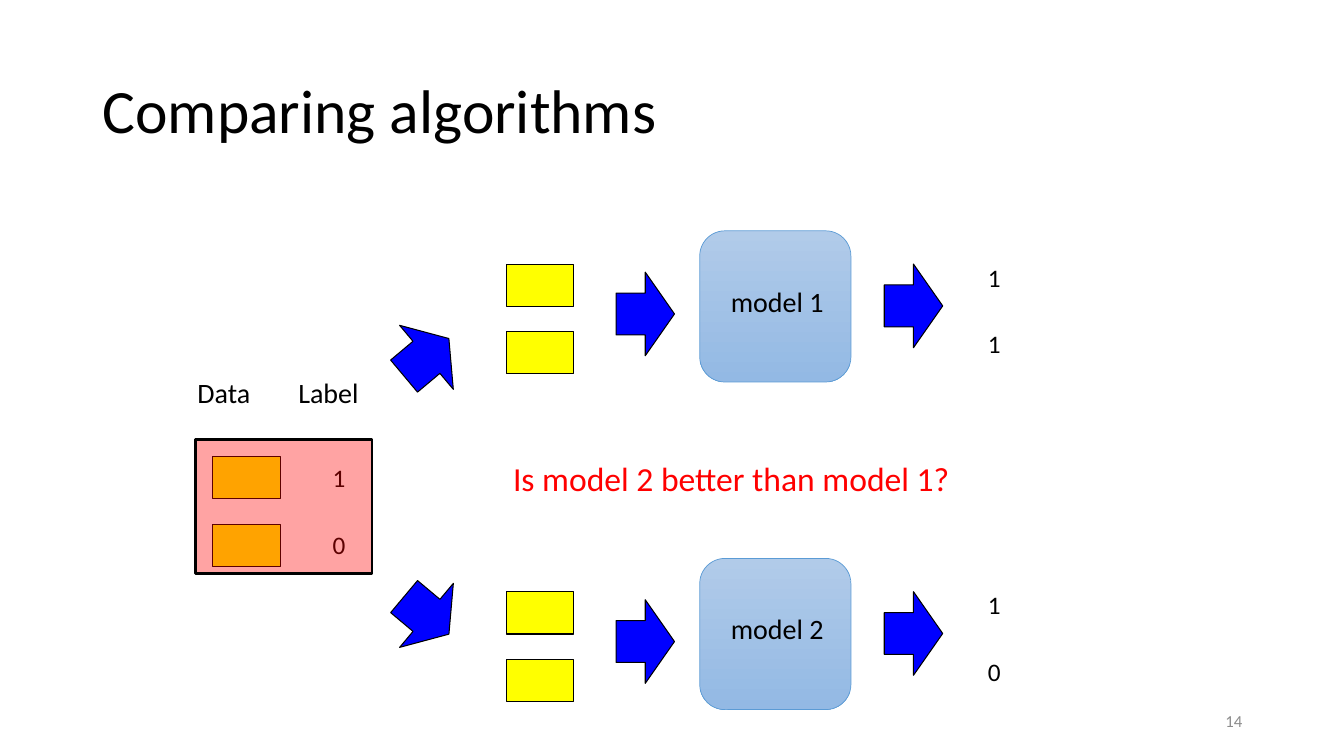
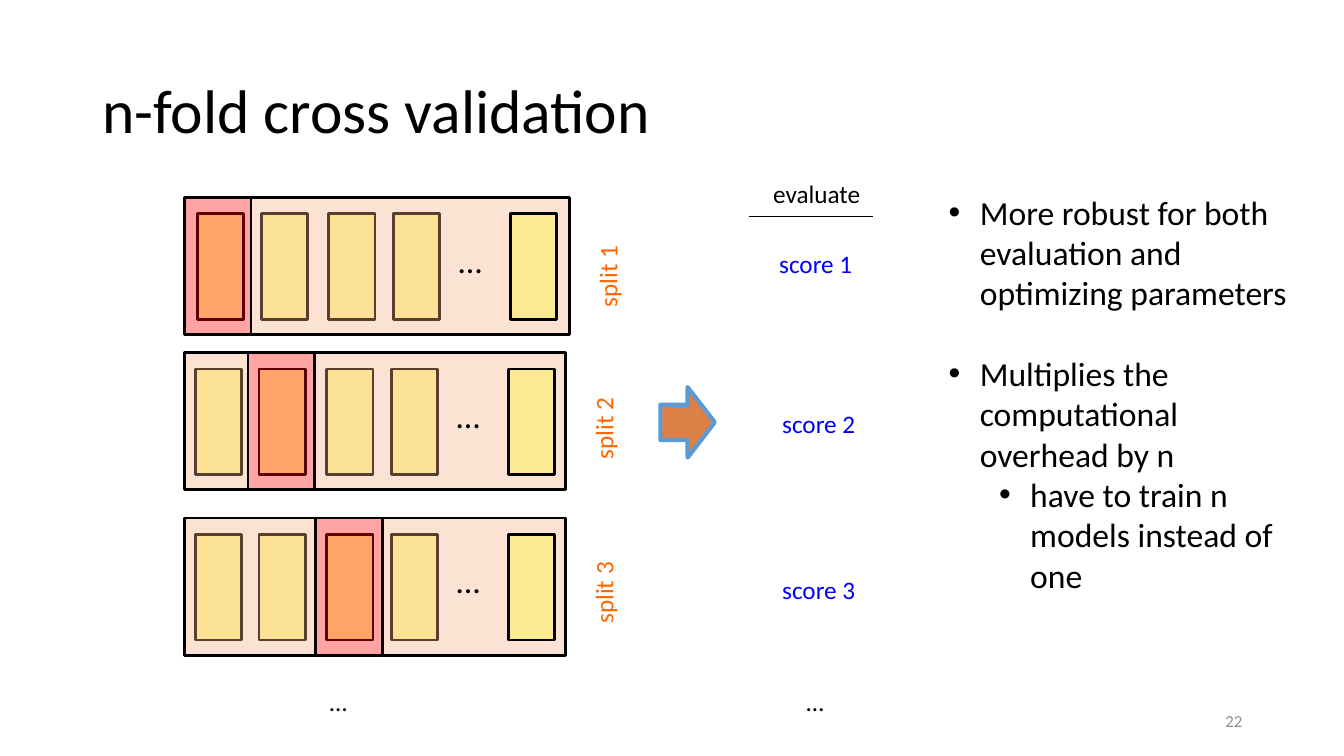
from dataclasses import dataclass

from lxml.etree import SubElement
from pptx import Presentation
from pptx.dml.color import RGBColor
from pptx.enum.shapes import MSO_CONNECTOR, MSO_SHAPE
from pptx.enum.text import MSO_ANCHOR, PP_ALIGN
from pptx.oxml.ns import qn
from pptx.util import Inches, Pt

FONT = "Calibri"
COLORS = {
    "black": "000000",
    "gray": "8C8C8C",
    "red": "FF0000",
    "yellow": "FFFF00",
    "blue": "0000FF",
    "peach": "F4B183",
    "orange": "FF6600",
    "rust": "DD8047",
    "sky": "5B9BD5",
    "model_top": "B1CBE9",
    "model_bottom": "93B9E4",
}


@dataclass(frozen=True)
class Box:
    left: float
    top: float
    width: float
    height: float

    def lengths(self):
        return [Inches(value) for value in (self.left, self.top, self.width, self.height)]


@dataclass(frozen=True)
class ModelLane:
    name: str
    top: float
    predictions: tuple[str, str]


@dataclass(frozen=True)
class Split:
    name: str
    top: float
    held_out: int
    shift: float
    label_center: float


@dataclass(frozen=True)
class Bullet:
    text: str
    level: int = 0
    space_before: float = 0


TITLE_BOX = Box(0.92, 0.4, 11.5, 1.45)
NUMBER_BOX = Box(9.42, 6.95, 3, 0.4)

LANES = (
    ModelLane("model 1", 2.29, ("1", "1")),
    ModelLane("model 2", 5.54, ("1", "0")),
)
SAMPLE_PITCH = 0.67
LABEL_PITCH = 0.66

SPLITS = (
    Split("split 1", 1.96, 0, 0.02, 2.74),
    Split("split 2", 3.5, 1, 0, 4.25),
    Split("split 3", 5.14, 2, 0, 5.88),
)
FOLD_OFFSETS = (0, 0.63, 1.3, 1.94)
BAND_LEFT, BAND_RIGHT, BAND_HEIGHT = 1.83, 5.61, 1.36
HELD_OUT_LEFTS, HELD_OUT_WIDTH = (1.83, 2.46, 3.13), 0.66

BULLETS = (
    Bullet("More robust for both evaluation and optimizing parameters"),
    Bullet("Multiplies the computational overhead by n", space_before=29),
    Bullet("have to train n models instead of one", level=1),
)


def color(name: str) -> RGBColor:
    return RGBColor.from_string(COLORS[name])


def add_run(paragraph, text: str, size: float, color_name: str) -> None:
    run = paragraph.add_run()
    run.text = text
    run.font.name = FONT
    run.font.size = Pt(size)
    run.font.color.rgb = color(color_name)


def add_text(slide, box: Box, text: str, size: float = 18, color_name: str = "black",
             wrap: bool = False):
    shape = slide.shapes.add_textbox(*box.lengths())
    shape.text_frame.word_wrap = wrap
    add_run(shape.text_frame.paragraphs[0], text, size, color_name)
    return shape


def add_block(slide, kind: MSO_SHAPE, box: Box, fill: str, opacity: int = 100,
              line: str = "black", line_width: float = 0.75):
    """Draw a filled, outlined shape; opacity is a percentage."""
    shape = slide.shapes.add_shape(kind, *box.lengths())
    shape.shadow.inherit = False
    shape.fill.solid()
    shape.fill.fore_color.rgb = color(fill)
    if opacity < 100:
        fill_color = shape.fill._xPr.find(qn("a:solidFill"))[0]
        SubElement(fill_color, qn("a:alpha"), val=str(opacity * 1000))
    shape.line.color.rgb = color(line)
    shape.line.width = Pt(line_width)
    return shape


def add_content_slide(presentation, title: str, number: int):
    slide = presentation.slides.add_slide(presentation.slide_layouts[6])
    title_frame = add_text(slide, TITLE_BOX, title, 44, wrap=True).text_frame
    title_frame.vertical_anchor = MSO_ANCHOR.MIDDLE
    title_frame.paragraphs[0].line_spacing = 0.9
    number_frame = add_text(slide, NUMBER_BOX, str(number), 12, "gray", wrap=True).text_frame
    number_frame.vertical_anchor = MSO_ANCHOR.MIDDLE
    number_frame.paragraphs[0].alignment = PP_ALIGN.RIGHT
    return slide


def add_samples(slide, left: float, top: float) -> None:
    for index in range(2):
        box = Box(left, top + index * SAMPLE_PITCH, 0.67, 0.42)
        add_block(slide, MSO_SHAPE.RECTANGLE, box, "yellow")


def add_labels(slide, left: float, top: float, labels: tuple[str, str]) -> None:
    for index, label in enumerate(labels):
        add_text(slide, Box(left, top + index * LABEL_PITCH, 0.34, 0.4), label)


def add_flow_arrow(slide, left: float, top: float, rotation: float = 0) -> None:
    box = Box(left, top, 0.58, 0.83)
    add_block(slide, MSO_SHAPE.RIGHT_ARROW, box, "blue").rotation = rotation


def add_model_lane(slide, lane: ModelLane) -> None:
    model = add_block(slide, MSO_SHAPE.ROUNDED_RECTANGLE, Box(6.94, lane.top, 1.5, 1.5),
                      "model_top", line="sky", line_width=0.5)
    model.fill.gradient()
    model.fill.gradient_angle = 270
    for stop, name in zip(model.fill.gradient_stops, ("model_top", "model_bottom")):
        stop.color.rgb = color(name)
    add_text(slide, Box(7.15, lane.top + 0.48, 1.13, 0.44), lane.name, 20)
    add_samples(slide, 5.02, lane.top + 0.33)
    add_flow_arrow(slide, 6.11, lane.top + 0.41)
    add_flow_arrow(slide, 8.77, lane.top + 0.33)
    add_labels(slide, 9.7, lane.top + 0.26, lane.predictions)


def build_comparison(presentation) -> None:
    slide = add_content_slide(presentation, "Comparing algorithms", 14)
    add_text(slide, Box(1.86, 3.68, 0.73, 0.44), "Data", 20)
    add_text(slide, Box(2.86, 3.68, 0.81, 0.44), "Label", 20)
    add_samples(slide, 2.11, 4.53)
    add_labels(slide, 3.2, 4.54, ("1", "0"))
    add_block(slide, MSO_SHAPE.RECTANGLE, Box(1.94, 4.36, 1.75, 1.33), "red", 36, line_width=2)
    add_flow_arrow(slide, 3.94, 3.13, 320)
    add_flow_arrow(slide, 3.94, 5.69, 40)
    for lane in LANES:
        add_model_lane(slide, lane)
    add_text(slide, Box(4.99, 4.49, 4.57, 0.5), "Is model 2 better than model 1?", 24, "red")


def add_fold(slide, left: float, top: float, opacity: int = 36) -> None:
    box = Box(left, top, 0.46, 1.05)
    add_block(slide, MSO_SHAPE.RECTANGLE, box, "yellow", opacity, line_width=2)


def add_band(slide, left: float, right: float, top: float, fill: str) -> None:
    box = Box(left, top, right - left, BAND_HEIGHT)
    add_block(slide, MSO_SHAPE.RECTANGLE, box, fill, 36, line_width=2)


def add_split(slide, split: Split) -> None:
    """Draw the folds, then tint the held-out fold and the training folds around it."""
    fold_left, fold_top = 1.94 + split.shift, split.top + 0.16
    held_out_left = HELD_OUT_LEFTS[split.held_out]
    held_out_right = held_out_left + HELD_OUT_WIDTH
    for offset in FOLD_OFFSETS:
        add_fold(slide, fold_left + offset, fold_top)
    add_band(slide, held_out_right, BAND_RIGHT + 2 * split.shift, split.top, "peach")
    add_band(slide, held_out_left, held_out_right, split.top, "red")
    if held_out_left > BAND_LEFT:
        add_band(slide, BAND_LEFT, held_out_left, split.top, "peach")
    add_text(slide, Box(4.43 + split.shift, split.top + 0.37, 0.44, 0.5), "…", 24)
    add_fold(slide, fold_left + 3.1, fold_top, 30)
    label_box = Box(5.58 + 2 * split.shift, split.label_center - 0.2, 0.81, 0.4)
    add_text(slide, label_box, split.name, color_name="orange").rotation = 270


def add_bullets(slide, box: Box) -> None:
    frame = slide.shapes.add_textbox(*box.lengths()).text_frame
    frame.word_wrap = True
    for index, bullet in enumerate(BULLETS):
        paragraph = frame.add_paragraph() if index else frame.paragraphs[0]
        paragraph.level = bullet.level
        paragraph.space_before = Pt(bullet.space_before)
        properties = paragraph._p.get_or_add_pPr()
        properties.set("marL", str(Inches(0.31 + 0.5 * bullet.level)))
        properties.set("indent", str(Inches(-0.31)))
        SubElement(properties, qn("a:buFont"), typeface="Arial")
        SubElement(properties, qn("a:buChar"), char="•")
        add_run(paragraph, bullet.text, 24, "black")


def add_rule(slide, left: float, right: float, top: float) -> None:
    line = slide.shapes.add_connector(
        MSO_CONNECTOR.STRAIGHT, Inches(left), Inches(top), Inches(right), Inches(top))
    line.line.color.rgb = color("black")
    line.line.width = Pt(1)
    SubElement(line._element.spPr, qn("a:effectLst"))


def build_cross_validation(presentation) -> None:
    slide = add_content_slide(presentation, "n-fold cross validation", 22)
    for split in SPLITS:
        add_split(slide, split)
    add_block(slide, MSO_SHAPE.RIGHT_ARROW, Box(6.55, 3.84, 0.54, 0.7), "rust",
              line="sky", line_width=3)
    add_text(slide, Box(7.57, 1.72, 1.07, 0.4), "evaluate")
    add_rule(slide, 7.43, 8.66, 2.15)
    for number, (left, top) in enumerate(((7.63, 2.41), (7.66, 4), (7.66, 5.65)), 1):
        add_text(slide, Box(left, top, 0.93, 0.4), f"score {number}", color_name="blue")
    for left in (3.17, 7.9):
        add_text(slide, Box(left, 6.76, 0.38, 0.4), "…")
    add_bullets(slide, Box(9.31, 1.85, 3.58, 4.44))


def main() -> None:
    presentation = Presentation()
    presentation.slide_width = Inches(13.33)
    presentation.slide_height = Inches(7.5)
    build_comparison(presentation)
    build_cross_validation(presentation)
    presentation.save("out.pptx")


if __name__ == "__main__":
    main()
